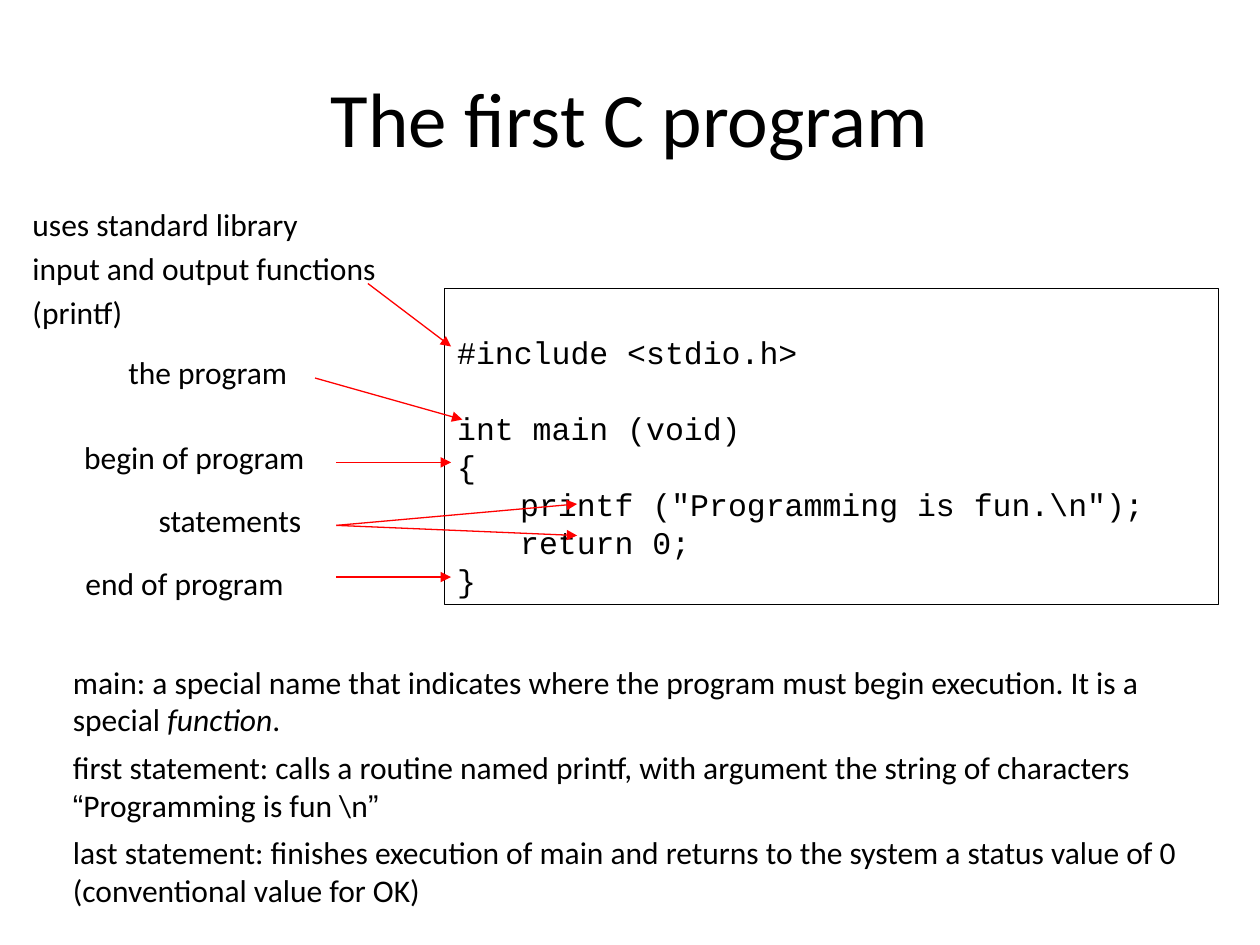
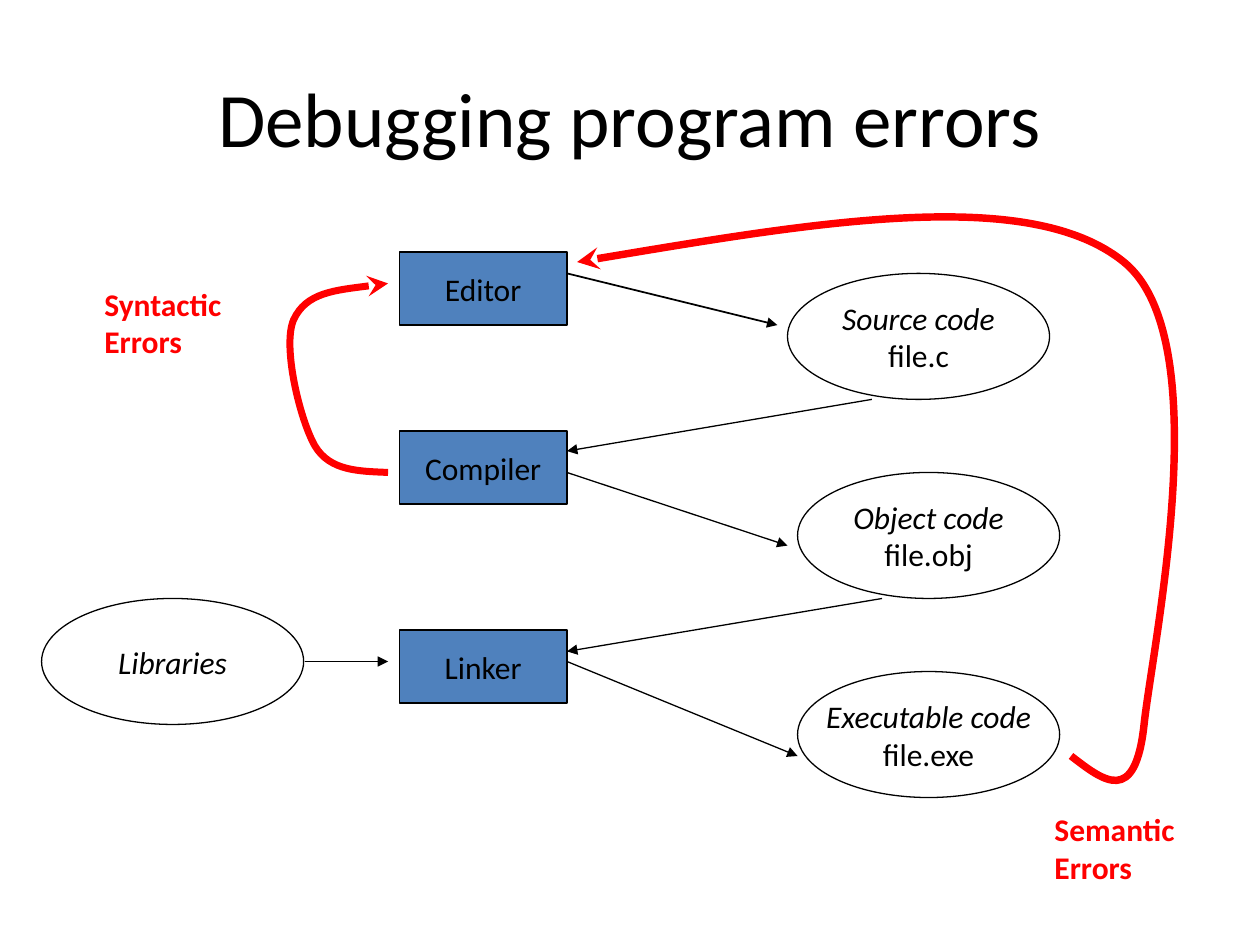
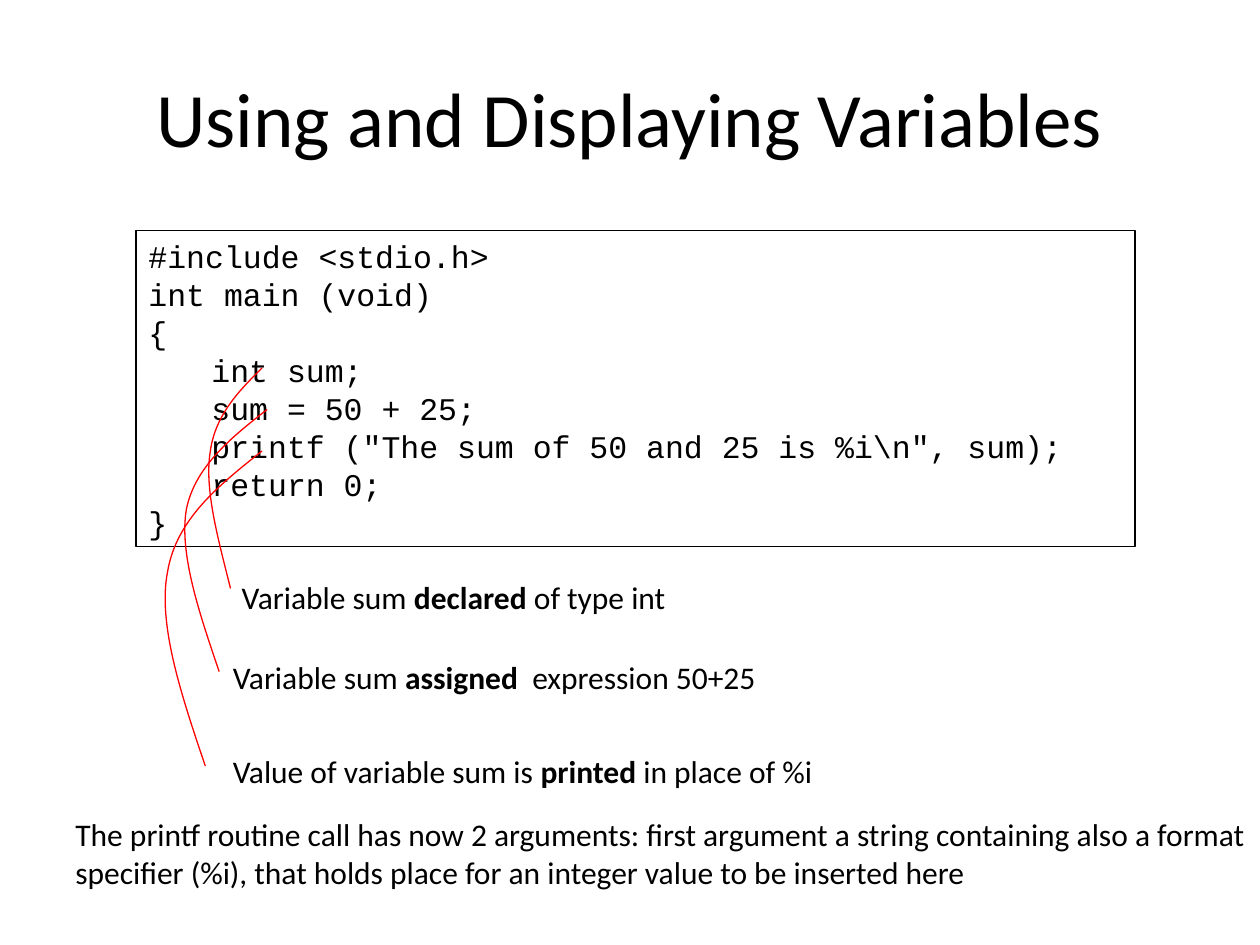
from pptx import Presentation
from pptx.dml.color import RGBColor
from pptx.enum.shapes import MSO_CONNECTOR, MSO_SHAPE
from pptx.enum.text import MSO_ANCHOR, PP_ALIGN
from pptx.oxml.ns import qn
from pptx.oxml.xmlchemy import OxmlElement
from pptx.util import Inches, Pt

RECT, OVAL = MSO_SHAPE.RECTANGLE, MSO_SHAPE.OVAL
LEFT, CENTER = PP_ALIGN.LEFT, PP_ALIGN.CENTER
TOP, MIDDLE = MSO_ANCHOR.TOP, MSO_ANCHOR.MIDDLE
STRAIGHT = MSO_CONNECTOR.STRAIGHT

BLACK, RED, BLUE = "000000", "FF0000", "4F81BD"
SANS, MONO = "Calibri", "Courier New"
MARKS = {"b": ("bold", True), "i": ("italic", True), "q": ("name", "Arial")}
PITCH = 21.7

FIRST = {
    "title": "The first C program",
    "code": [
        "#include <stdio.h>",
        "int main (void)",
        "{",
        '\tprintf ("Programming is fun.\\n");',
        "\treturn 0;",
        "}",
    ],
    "uses": ["uses standard library", "input and output functions", "(printf)"],
    "labels": [
        ("the program", 0.92, 2.75, 2.58),
        ("begin of program", 0.57, 3.43, 2.09),
        ("statements", 1.16, 3.93, 1.42),
        ("end of program", 0.58, 4.43, 1.9),
    ],
    "arrows": [
        (2.92, 2.25, 3.58, 2.75),
        (2.5, 3, 3.67, 3.33),
        (2.67, 3.67, 3.58, 3.67),
        (2.67, 4.58, 3.58, 4.58),
        (2.67, 4.17, 4.58, 4),
        (2.67, 4.17, 4.58, 4.25),
    ],
    "notes": [
        ("i", "main: a special name that indicates where the program must begin "
         "execution. It is a special ", "function", "."),
        ("q", "first statement: calls a routine named printf, with argument the "
         "string of characters ", "“", "Programming is fun \\n", "”"),
        "last statement: finishes execution of main and returns to the system "
        "a status value of 0 (conventional value for OK)",
    ],
}

DEBUG = {
    "title": "Debugging program errors",
    "tools": [("Editor", 2), ("Compiler", 3.42), ("Linker", 5)],
    "files": [
        (["Source code", "file.c"], 6.25, 2.17),
        (["Object code", "file.obj"], 6.33, 3.75),
        (["Executable code", "file.exe"], 6.33, 5.33),
        (["Libraries"], 0.33, 4.75),
    ],
    "arrows": [
        (4.5, 2.17, 6.17, 2.58, 1),
        (4.5, 3.75, 6.25, 4.33, 0.75),
        (4.5, 5.25, 6.33, 6, 0.75),
        (6.92, 3.17, 4.5, 3.58, 0.75),
        (7, 4.75, 4.5, 5.17, 0.75),
        (2.42, 5.25, 3.08, 5.25, 1),
    ],
    "errors": [("Syntactic", 0.73, 2.21), ("Semantic", 8.27, 6.38)],
    "loops": [
        (4, [(3.08, 3.75), (2.85, 3.74), (2.62, 3.74), (2.5, 3.54), (2.38, 3.33),
             (2.24, 2.75), (2.33, 2.54), (2.43, 2.32), (2.76, 2.29), (3.08, 2.25)]),
        (4.25, [(8.5, 6), (8.76, 6.2), (9.01, 6.4), (9.08, 5.75), (9.15, 5.1),
                (9.67, 2.69), (8.92, 2.08), (8.17, 1.47), (6.38, 1.78), (4.58, 2.08)]),
    ],
}

VARS = {
    "title": "Using and Displaying Variables",
    "code": [
        "#include <stdio.h>",
        "int main (void)",
        "{",
        "\tint sum;",
        "\tsum = 50 + 25;",
        '\tprintf ("The sum of 50 and 25 is %i\\n", sum);',
        "\treturn 0;",
        "}",
    ],
    "labels": [
        (("b", "Variable sum ", "declared", " of type int"), 1.82, 4.54, 8.02),
        (("b", "Variable sum ", "assigned", "  expression 50+25"), 1.75, 5.17, 4.93),
        (("b", "Value of variable sum is ", "printed", " in place of %i"), 1.75, 5.92, 5.4),
    ],
    "curves": [
        [(2.08, 2.92), (1.9, 3.1), (1.71, 3.29), (1.67, 3.58),
         (1.62, 3.88), (1.73, 4.27), (1.83, 4.67)],
        [(2.12, 3.25), (1.84, 3.47), (1.55, 3.7), (1.48, 4.04),
         (1.42, 4.39), (1.58, 4.86), (1.74, 5.33)],
        [(2.08, 3.58), (1.74, 3.85), (1.4, 4.12), (1.33, 4.54),
         (1.25, 4.95), (1.44, 5.52), (1.63, 6.08)],
    ],
    "note": "The printf routine call has now 2 arguments: first argument a string "
            "containing also a format specifier (%i), that holds place for an "
            "integer value to be inserted here",
}


def color(code):
    return RGBColor.from_string(code)


def write(shape, paras, size=18, font=SANS, ink=BLACK, align=LEFT,
          anchor=TOP, wrap=True, before=0, after=0):
    frame = shape.text_frame
    frame.word_wrap = wrap
    frame.vertical_anchor = anchor
    for num, para in enumerate(paras):
        line = frame.paragraphs[0] if num == 0 else frame.add_paragraph()
        mark, *parts = ("b", para) if isinstance(para, str) else para
        for pos, part in enumerate(parts):
            if part:
                run = line.add_run()
                run.text = part
                if pos % 2:
                    setattr(run.font, *MARKS[mark])
        line.alignment = align
        line.space_before = Pt(before if num else 0)
        line.space_after = Pt(after)
        line.font.size = Pt(size)
        line.font.name = font
        line.font.color.rgb = color(ink)
    return frame


def label(slide, paras, x, y, w, h=0.4, **look):
    box = slide.shapes.add_textbox(Inches(x), Inches(y), Inches(w), Inches(h))
    return write(box, paras, **look)


def start(deck, title):
    slide = deck.slides.add_slide(deck.slide_layouts[6])
    label(slide, [title], 0.5, 0.3, 9, 1.25, size=44, align=CENTER, anchor=MIDDLE)
    return slide


def node(slide, kind, x, y, w, h, fill=None):
    shape = slide.shapes.add_shape(kind, Inches(x), Inches(y), Inches(w), Inches(h))
    shape.shadow.inherit = False
    if fill:
        shape.fill.solid()
        shape.fill.fore_color.rgb = color(fill)
    else:
        shape.fill.background()
    stroke(shape, BLACK, 0.75)
    return shape


def stroke(shape, ink, width, head=None):
    shape.line.color.rgb = color(ink)
    shape.line.width = Pt(width)
    if head:
        tip = OxmlElement("a:tailEnd")
        tip.set("type", head)
        shape.line._get_or_add_ln().append(tip)


def arrow(slide, x1, y1, x2, y2, width=0.75, ink=BLACK):
    line = slide.shapes.add_connector(
        STRAIGHT, Inches(x1), Inches(y1), Inches(x2), Inches(y2))
    stroke(line, ink, width, "triangle")
    line._element.spPr.append(OxmlElement("a:effectLst"))


def curve(slide, points, width, head=None):
    spots = [(Inches(x), Inches(y)) for x, y in points]
    pen = slide.shapes.build_freeform(*spots[0], scale=1.0)
    pen.add_line_segments(spots[1:], close=False)
    shape = pen.convert_to_shape()
    steps = shape._element.findall(".//" + qn("a:lnTo"))
    for num in range(0, len(steps), 3):
        bend = OxmlElement("a:cubicBezTo")
        steps[num].addprevious(bend)
        for step in steps[num:num + 3]:
            bend.append(step[0])
            step.getparent().remove(step)
    shape.shadow.inherit = False
    shape.fill.background()
    stroke(shape, RED, width, head)


def listing(slide, lines, x, y, w, gaps=()):
    shape = node(slide, RECT, x, y, w, 2.51)
    frame = write(shape, lines, font=MONO, wrap=False)
    for num, line in enumerate(frame.paragraphs):
        line.line_spacing = Pt(PITCH)
        if num in gaps:
            if num:
                line.space_before = Pt(PITCH)
            else:
                frame.margin_top += Pt(PITCH)
        tabs = OxmlElement("a:tabLst")
        stop = OxmlElement("a:tab")
        stop.set("pos", str(Inches(0.5)))
        stop.set("algn", "l")
        tabs.append(stop)
        line._p.get_or_add_pPr().insert_element_before(tabs, "a:defRPr")


deck = Presentation()
deck.slide_width, deck.slide_height = Inches(10), Inches(7.5)

slide = start(deck, FIRST["title"])
listing(slide, FIRST["code"], 3.53, 2.29, 6.14, gaps=(0, 1))
label(slide, FIRST["uses"], 0.16, 1.58, 3.13, 1.42, before=3.6)
for text, x, y, w in FIRST["labels"]:
    label(slide, [text], x, y, w)
for ends in FIRST["arrows"]:
    arrow(slide, *ends, ink=RED)
label(slide, FIRST["notes"], 0.48, 5.21, 9.35, 2.08, after=5.4)

slide = start(deck, DEBUG["title"])
for name, y in DEBUG["tools"]:
    box = node(slide, RECT, 3.17, y, 1.33, 0.58, BLUE)
    write(box, [name], align=CENTER, anchor=MIDDLE, wrap=False)
for (name, *rest), x, y in DEBUG["files"]:
    oval = node(slide, OVAL, x, y, 2.08, 1)
    write(oval, [("i", "", name), *rest], align=CENTER, anchor=MIDDLE, wrap=False)
for ends in DEBUG["arrows"]:
    arrow(slide, *ends)
for width, points in DEBUG["loops"]:
    curve(slide, points, width, "stealth")
for kind, x, y in DEBUG["errors"]:
    label(slide, [("b", "", kind), ("b", "", "Errors")], x, y, 1.31, 0.7, ink=RED)

slide = start(deck, VARS["title"])
listing(slide, VARS["code"], 1.08, 1.83, 7.93)
for text, x, y, w in VARS["labels"]:
    label(slide, [text], x, y, w)
for points in VARS["curves"]:
    curve(slide, points, 0.75)
label(slide, [VARS["note"]], 0.5, 6.42, 9.6, 0.7)

deck.save("out.pptx")
